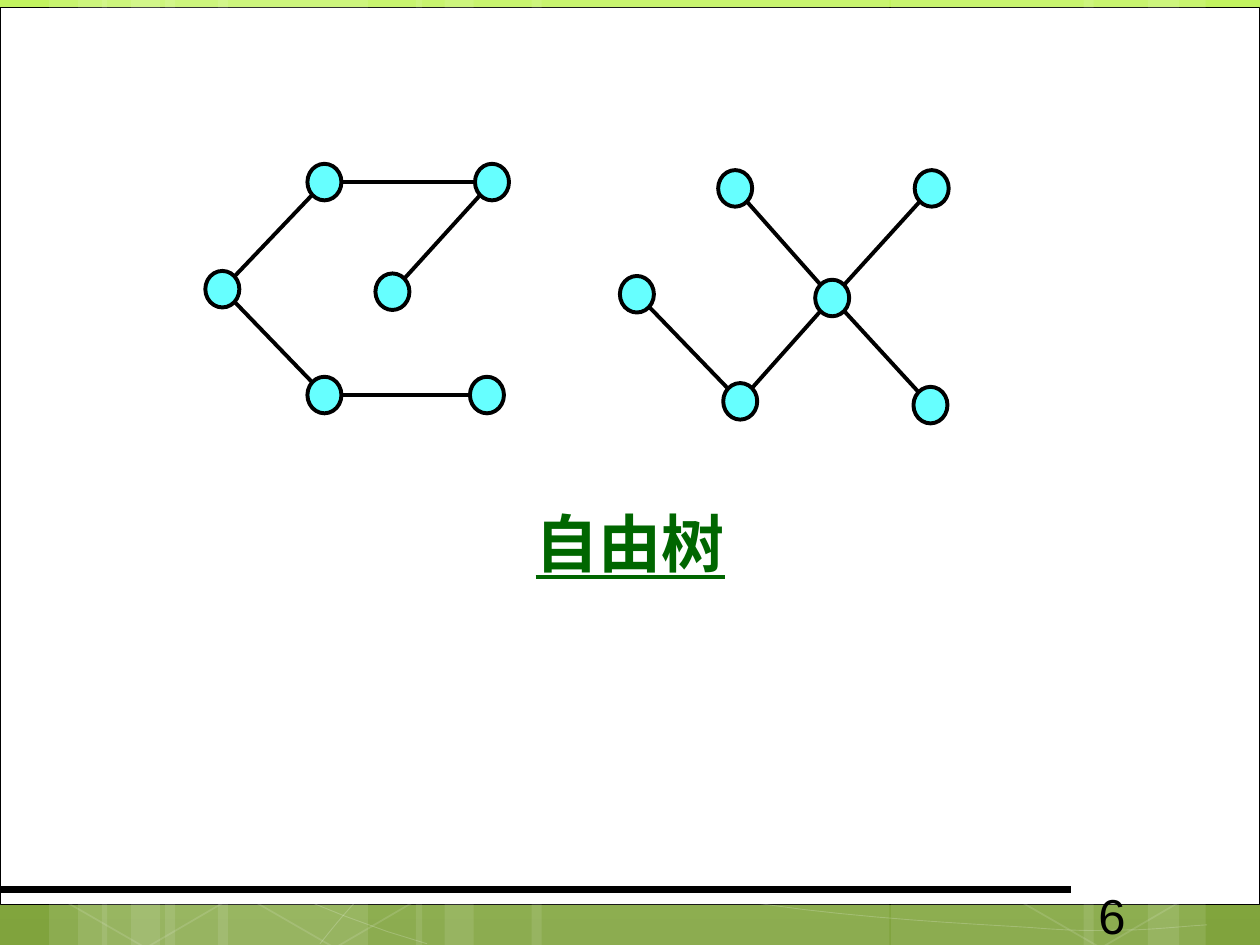
from copy import deepcopy
from dataclasses import dataclass
from math import hypot

from lxml import etree
from pptx import Presentation
from pptx.dml.color import RGBColor
from pptx.enum.shapes import MSO_CONNECTOR, MSO_SHAPE
from pptx.enum.text import MSO_ANCHOR, MSO_AUTO_SIZE, PP_ALIGN
from pptx.oxml.ns import qn
from pptx.util import Inches, Pt

RECT, OVAL, HEX = MSO_SHAPE.RECTANGLE, MSO_SHAPE.OVAL, MSO_SHAPE.HEXAGON
STRAIGHT = MSO_CONNECTOR.STRAIGHT
MIDDLE, CENTER = MSO_ANCHOR.MIDDLE, PP_ALIGN.CENTER
FIXED = MSO_AUTO_SIZE.NONE


@dataclass(frozen=True)
class Theme:
    """Colours, fonts and type sizes of the slide."""
    back: tuple = ((0, "C2F35F"), (0.62, "92BE3F"), (1, "80A33D"))
    white: str = "FFFFFF"
    ink: str = "000000"
    node: str = "66FFFF"
    title: str = "006600"
    head: str = "TeX Gyre Adventor"
    body: str = "Arial"
    big: int = 36
    small: int = 28


BANDS = [(1.31, 1.61), (0.39, 0.46), (0.62, 0.77), (1.73, 1.62), (0.81, 0.46),
         (1.04, 0.77), (7.07, 1.61), (9.11, 0.46), (8.6, 0.76), (4.22, 2.84),
         (3.3, 0.46), (3.53, 0.77)]
CURVES = [
    [(0.36, 6.17), (1.47, 6.72), (2.58, 7.27), (3.39, 7.49)],
    [(0.37, 5.78), (0.66, 5.89), (0.95, 6), (1.49, 6.16),
     (2.02, 6.31), (2.82, 6.56), (3.59, 6.73),
     (4.36, 6.9), (5.33, 7.08), (6.09, 7.18),
     (6.85, 7.29), (7.67, 7.33), (8.16, 7.36),
     (8.64, 7.4), (8.77, 7.38), (9.01, 7.38),
     (9.24, 7.37), (9.41, 7.35), (9.58, 7.34)],
    [(2.54, 7.49), (2.7, 7.29), (2.86, 7.09), (3.09, 6.91),
     (3.31, 6.72), (3.62, 6.53), (3.88, 6.39),
     (4.13, 6.25), (4.29, 6.19), (4.63, 6.09),
     (4.97, 5.99), (5.59, 5.85), (5.91, 5.78),
     (6.23, 5.71), (6.28, 5.71), (6.57, 5.69),
     (6.85, 5.66), (7.3, 5.63), (7.62, 5.62),
     (7.94, 5.61), (8.47, 5.62), (8.47, 5.62),
     (8.67, 5.62), (8.88, 5.62), (9.08, 5.62),
     (9.25, 5.63), (9.4, 5.64), (9.48, 5.65)],
]
TREES = [
    ([(3.77, 1.3), (2.44, 1.3), (1.63, 2.15), (2.98, 2.17), (3.73, 2.99),
      (2.44, 2.99)],
     [(1, 0), (1, 2), (0, 3), (2, 5), (5, 4)]),
    ([(5.7, 1.35), (4.92, 2.19), (5.74, 3.04), (7.26, 1.35), (6.47, 2.22),
      (7.25, 3.07)],
     [(2, 4), (0, 4), (1, 2), (4, 5), (3, 4)]),
]
WIDE, HIGH, RIM = 0.27, 0.29, 0.14


def trace(points, steps=8):
    """Return points along a chain of cubic curves."""
    out = [points[0]]
    for i in range(0, len(points) - 1, 3):
        quad = points[i:i + 4]
        for n in range(1, steps + 1):
            t = n / steps
            parts = ((1 - t) ** 3, 3 * t * (1 - t) ** 2, 3 * t * t * (1 - t), t ** 3)
            out.append(tuple(sum(k * p[axis] for k, p in zip(parts, quad))
                             for axis in (0, 1)))
    return out


def fade(node, share):
    """Set the opacity, in percent, of each colour inside a node."""
    for color in node.iter(qn("a:srgbClr")):
        etree.SubElement(color, qn("a:alpha")).set("val", str(share * 1000))


class Painter:
    """Holds the style and the current slide, and draws on it."""

    def __init__(self, slide, theme):
        self.slide, self.theme = slide, theme

    def backdrop(self):
        """Fill the slide with the green gradient."""
        fill = self.slide.background.fill
        fill.gradient()
        fill.gradient_angle = 270
        stops = next(self.slide.element.iter(qn("a:gsLst")))
        stops.append(deepcopy(stops[0]))
        for stop, (place, color) in zip(fill.gradient_stops, self.theme.back):
            stop.position = place
            stop.color.rgb = RGBColor.from_string(color)

    def style(self, shape, fill=None, line=None, width=1):
        """Set the fill, line and shadow of a shape."""
        shape.shadow.inherit = False
        for paint, color in ((shape.fill, fill), (shape.line.fill, line)):
            if color:
                paint.solid()
                paint.fore_color.rgb = RGBColor.from_string(color)
            else:
                paint.background()
        if line:
            shape.line.width = Pt(width)
        return shape

    def shape(self, kind, box, **look):
        """Add a preset shape."""
        item = self.slide.shapes.add_shape(kind, *map(Inches, box))
        return self.style(item, **look)

    def curve(self, points):
        """Add a faint curve."""
        first, *rest = [tuple(map(Inches, p)) for p in trace(points)]
        pen = self.slide.shapes.build_freeform(*first)
        pen.add_line_segments(rest, close=False)
        item = self.style(pen.convert_to_shape(), line=self.theme.white, width=0.5)
        fade(item.element.spPr, 20)

    def line(self, start, end, width):
        """Add a straight black line."""
        item = self.slide.shapes.add_connector(STRAIGHT, *map(Inches, (*start, *end)))
        item.line.color.rgb = RGBColor.from_string(self.theme.ink)
        item.line.width = Pt(width)
        etree.SubElement(item.element.spPr, qn("a:effectLst"))

    def edge(self, one, two):
        """Join two node centres from rim to rim."""
        (x, y), (u, v) = one, two
        gap = RIM / hypot(u - x, v - y)
        dx, dy = gap * (u - x), gap * (v - y)
        self.line((x + dx, y + dy), (u - dx, v - dy), 2.25)

    def tree(self, nodes, edges):
        """Draw a tree from node corners and index pairs."""
        mids = [(x + WIDE / 2, y + HIGH / 2) for x, y in nodes]
        for a, b in edges:
            self.edge(mids[a], mids[b])
        for x, y in nodes:
            self.shape(OVAL, (x, y, WIDE, HIGH), fill=self.theme.node,
                       line=self.theme.ink, width=2.25)

    def put(self, para, text, size, name, color):
        """Add one run of text."""
        run = para.add_run()
        run.text = text
        run.font.size, run.font.name = Pt(size), name
        run.font.color.rgb = RGBColor.from_string(color)
        return run

    def title(self, text, box):
        """Place and fill the title in front of the panel."""
        item, theme = self.slide.shapes.title, self.theme
        item.left, item.top, item.width, item.height = map(Inches, box)
        item.element.getparent().append(item.element)
        frame = item.text_frame
        frame.auto_size, frame.word_wrap = FIXED, False
        frame.vertical_anchor = MIDDLE
        frame.margin_left = frame.margin_right = 0
        frame.margin_top = frame.margin_bottom = 0
        para = frame.paragraphs[0]
        para.alignment = CENTER
        run = self.put(para, text, theme.big, theme.head, theme.title)
        run.font.bold = run.font.underline = True

    def label(self, text, box):
        """Add a plain text box."""
        frame = self.slide.shapes.add_textbox(*map(Inches, box)).text_frame
        frame.word_wrap = True
        self.put(frame.paragraphs[0], text, self.theme.small, self.theme.body,
                 self.theme.ink)


def main():
    """Build the slide and save it."""
    deck = Presentation()
    deck.slide_width, deck.slide_height = Inches(10), Inches(7.5)
    theme = Theme()
    art = Painter(deck.slides.add_slide(deck.slide_layouts[5]), theme)
    art.backdrop()
    art.shape(RECT, (0, 0.06, 10, 7.12), fill=theme.white, line=theme.ink, width=0.5)
    for left, width in BANDS:
        band = art.shape(RECT, (left, 0, width, 7.5), fill=theme.white)
        fade(band.element.spPr, 10)
    for points in CURVES:
        art.curve(points)
    for left in (0.41, 1.91, 7.99):
        cell = art.shape(HEX, (left, 5.92, 1.61, 1.52), line=theme.white)
        cell.adjustments[0] = 0.285
        cell.rotation = 30
        fade(cell.element.spPr, 12)
    art.line((0, 7.06), (8.5, 7.06), 4.5)
    art.title("自由树", (0.5, 3.95, 9, 0.71))
    art.label("6", (8.62, 6.98, 1.46, 0.4))
    for nodes, edges in TREES:
        art.tree(nodes, edges)
    deck.save("out.pptx")


if __name__ == "__main__":
    main()
